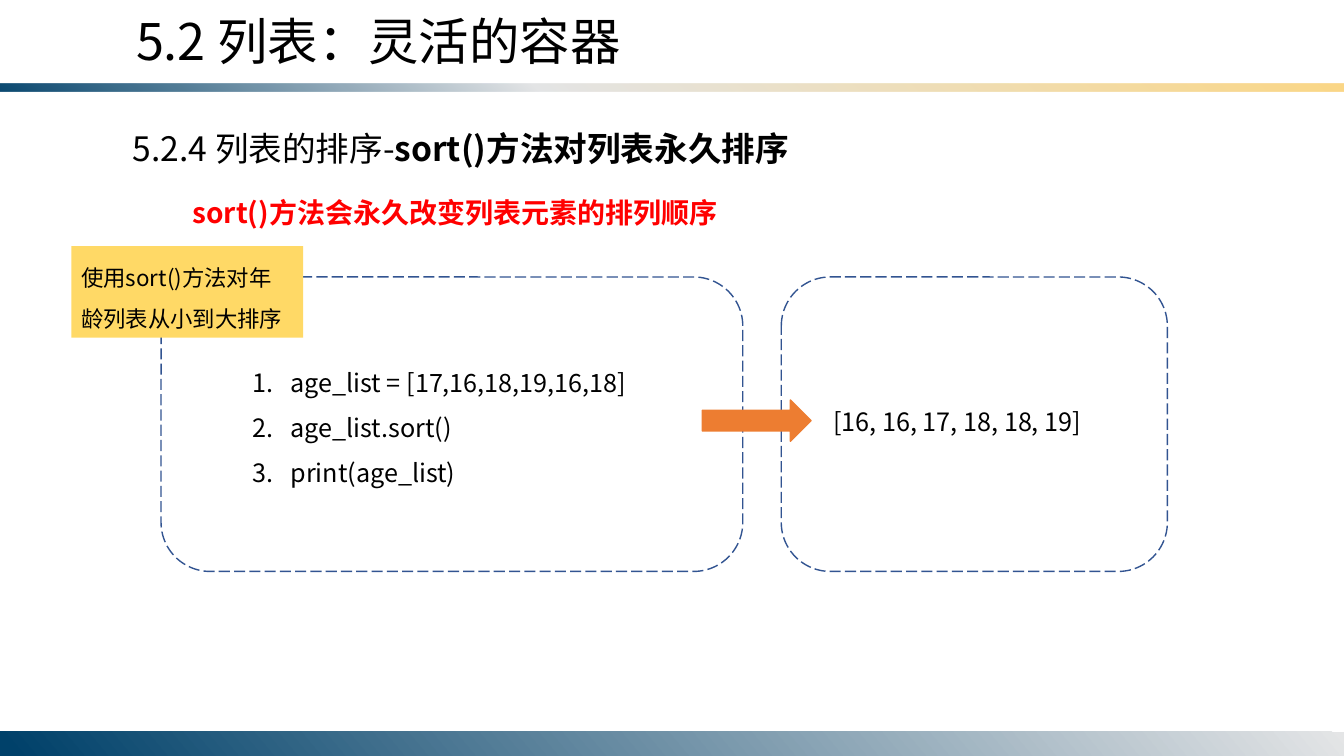
from dataclasses import dataclass

import pptx
import pptx.dml.color
import pptx.enum.dml
import pptx.enum.shapes
import pptx.enum.text
import pptx.oxml
import pptx.oxml.ns
import pptx.shapes.autoshape
import pptx.slide
import pptx.util
from pptx.dml.color import RGBColor
from pptx.util import Cm

FONT = "Noto Sans CJK SC"
BLACK = RGBColor(0x00, 0x00, 0x00)
RED = RGBColor(0xFF, 0x00, 0x00)
NAVY = RGBColor(0x00, 0x41, 0x6A)
SILVER = RGBColor(0xE4, 0xE5, 0xE6)
GOLD = RGBColor(0xFB, 0xD7, 0x86)
NOTE_YELLOW = RGBColor(0xFF, 0xD9, 0x66)
FRAME_BLUE = RGBColor(0x32, 0x54, 0x91)
ARROW_ORANGE = RGBColor(0xED, 0x7D, 0x31)
SHAPES = pptx.enum.shapes.MSO_SHAPE


@dataclass
class Box:
    """Place and size in centimetres."""
    left: float
    top: float
    width: float
    height: float

    def lengths(self) -> tuple:
        return Cm(self.left), Cm(self.top), Cm(self.width), Cm(self.height)


@dataclass
class Stop:
    position: int
    color: RGBColor
    opacity: int = 100


@dataclass
class Band:
    box: Box
    stops: list[Stop]
    angle: int
    flipped: bool = False


@dataclass
class Run:
    text: str
    bold: bool = False


@dataclass
class TextBlock:
    box: Box
    paragraphs: list[list[Run]]
    size: int
    color: RGBColor = BLACK
    spacing: float = 1.0
    indent: float = 0
    numbered: bool = False
    fill: RGBColor | None = None


# Content
BANDS = [
    Band(Box(0, 2.11, 33.87, 0.2),
         [Stop(0, NAVY, 95), Stop(40, SILVER), Stop(100, GOLD)], 50, flipped=True),
    Band(Box(0, 18.44, 33.87, 0.61), [Stop(0, SILVER), Stop(99, NAVY)], 140),
]
HEADINGS = [
    TextBlock(Box(3.18, 0.13, 15.54, 1.8), [[Run("5.2 列表：灵活的容器")]], 36),
    TextBlock(Box(3.1, 3.1, 20.96, 1.27),
              [[Run("5.2.4 列表的排序-"), Run("sort()方法对列表永久排序", True)]], 24),
    TextBlock(Box(3.18, 4.37, 21.03, 1.52),
              [[Run("sort()方法会永久改变列表元素的排列顺序", True)]],
              20, RED, spacing=1.5, indent=1.42),
]
CODE = TextBlock(Box(6.12, 8.74, 10.57, 3.71),
                 [[Run("age_list = [17,16,18,19,16,18]")],
                  [Run("age_list.sort()")],
                  [Run("print(age_list)")]],
                 18, spacing=1.5, indent=0.95, numbered=True)
RESULT = TextBlock(Box(20.75, 9.73, 7.57, 1.4), [[Run("[16, 16, 17, 18, 18, 19]")]],
                   18, spacing=1.5)
NOTE = TextBlock(Box(1.8, 6.2, 5.84, 2.31),
                 [[Run("使用sort()方法对年龄列表从小到大排序")]],
                 16, spacing=1.5, fill=NOTE_YELLOW)
CODE_FRAME = Box(4.06, 6.98, 14.66, 7.42)
RESULT_FRAME = Box(19.69, 6.98, 9.73, 7.42)
ARROW = Box(17.7, 10.08, 2.74, 1.04)


def add_plain_shape(slide: pptx.slide.Slide, kind: SHAPES,
                    box: Box) -> pptx.shapes.autoshape.Shape:
    shape = slide.shapes.add_shape(kind, *box.lengths())
    shape.shadow.inherit = False
    shape.fill.background()
    shape.line.fill.background()
    return shape


def add_band(slide: pptx.slide.Slide, band: Band) -> None:
    shape = add_plain_shape(slide, SHAPES.RECTANGLE, band.box)
    properties = shape.element.spPr
    stops = "".join(
        f'<a:gs pos="{stop.position * 1000}"><a:srgbClr val="{stop.color}">'
        f'<a:alpha val="{stop.opacity * 1000}"/></a:srgbClr></a:gs>'
        for stop in band.stops)
    gradient = pptx.oxml.parse_xml(
        f'<a:gradFill {pptx.oxml.ns.nsdecls("a")} rotWithShape="1"><a:gsLst>{stops}</a:gsLst>'
        f'<a:lin ang="{band.angle * 60000}" scaled="0"/></a:gradFill>')
    properties.replace(properties.find(pptx.oxml.ns.qn("a:noFill")), gradient)
    if band.flipped:
        properties.xfrm.set("flipV", "1")


def add_frame(slide: pptx.slide.Slide, box: Box) -> None:
    line = add_plain_shape(slide, SHAPES.ROUNDED_RECTANGLE, box).line
    line.color.rgb = FRAME_BLUE
    line.width = pptx.util.Pt(1)
    line.dash_style = pptx.enum.dml.MSO_LINE.LONG_DASH


def add_arrow(slide: pptx.slide.Slide, box: Box) -> None:
    shape = add_plain_shape(slide, SHAPES.RIGHT_ARROW, box)
    shape.fill.solid()
    shape.fill.fore_color.rgb = ARROW_ORANGE
    shape.line.color.rgb = ARROW_ORANGE
    shape.line.width = pptx.util.Pt(1)


def add_text(slide: pptx.slide.Slide, block: TextBlock) -> None:
    shape = slide.shapes.add_textbox(*block.box.lengths())
    if block.fill is not None:
        shape.fill.solid()
        shape.fill.fore_color.rgb = block.fill
    text_frame = shape.text_frame
    text_frame.word_wrap = True
    text_frame.auto_size = pptx.enum.text.MSO_AUTO_SIZE.SHAPE_TO_FIT_TEXT
    for index, runs in enumerate(block.paragraphs):
        paragraph = text_frame.add_paragraph() if index else text_frame.paragraphs[0]
        paragraph.line_spacing = block.spacing
        properties = paragraph._p.get_or_add_pPr()
        if block.numbered:
            properties.set("marL", str(Cm(block.indent)))
            properties.set("indent", str(-Cm(block.indent)))
            numbering = pptx.oxml.parse_xml(
                f'<a:buAutoNum {pptx.oxml.ns.nsdecls("a")} type="arabicPeriod"/>')
            properties.append(numbering)
        elif block.indent:
            properties.set("indent", str(Cm(block.indent)))
        for part in runs:
            run = paragraph.add_run()
            run.text = part.text
            run.font.name = FONT
            run.font.size = pptx.util.Pt(block.size)
            run.font.bold = part.bold
            run.font.color.rgb = block.color
            east_asian = pptx.oxml.parse_xml(
                f'<a:ea {pptx.oxml.ns.nsdecls("a")} typeface="{FONT}"/>')
            run.font._element.append(east_asian)


def main() -> None:
    presentation = pptx.Presentation()
    presentation.slide_width = Cm(33.87)
    presentation.slide_height = Cm(19.05)
    slide = presentation.slides.add_slide(presentation.slide_layouts[6])

    # Bands and headings
    for band in BANDS:
        add_band(slide, band)
    for heading in HEADINGS:
        add_text(slide, heading)

    # Code, its output and the arrow between them
    add_text(slide, CODE)
    add_frame(slide, CODE_FRAME)
    add_text(slide, RESULT)
    add_frame(slide, RESULT_FRAME)
    add_arrow(slide, ARROW)
    add_text(slide, NOTE)

    presentation.save("out.pptx")


if __name__ == "__main__":
    main()
